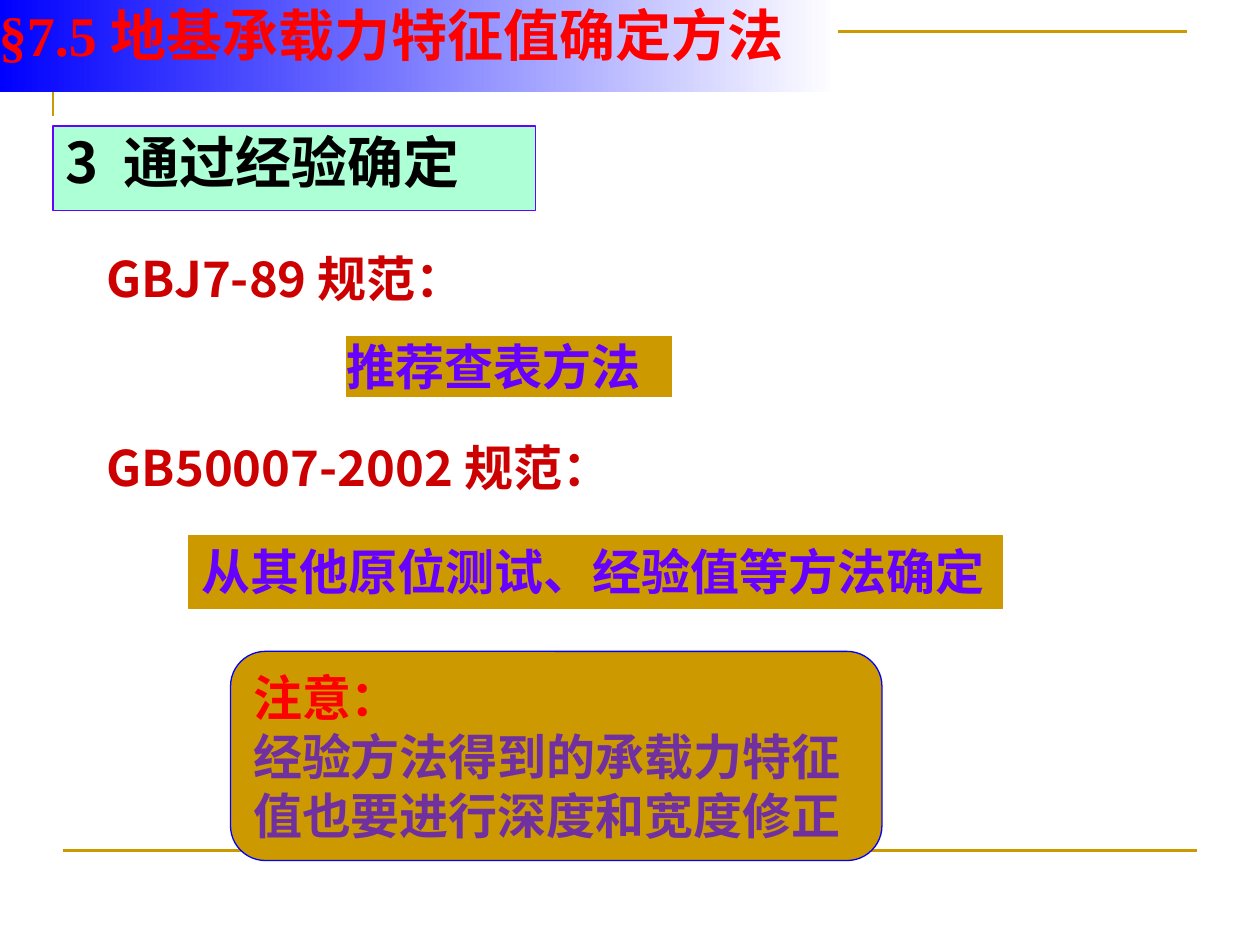
from dataclasses import dataclass

import pptx
import pptx.dml.color
import pptx.enum.shapes
import pptx.enum.text
import pptx.oxml.ns
import pptx.util
from lxml import etree

Inches = pptx.util.Inches
SHAPES = pptx.enum.shapes.MSO_SHAPE


@dataclass(frozen=True)
class Theme:
    gold: str = "CC9900"
    mint: str = "ADFFD6"
    violet: str = "6600FF"
    blue: str = "0000FF"
    white: str = "FFFFFF"
    black: str = "000000"
    crimson: str = "CC0000"
    red: str = "FF0000"
    purple: str = "7030A0"
    sans: str = "Noto Sans CJK SC"
    heading_font: str = "Noto Sans CJK JP"
    serif: str = "Times New Roman"
    plain: str = "Arial"
    large: int = 32
    normal: int = 28
    thin: float = 0.75
    rule: float = 1.5


THEME = Theme()


def rgb(value):
    return pptx.dml.color.RGBColor.from_string(value)


def apply(target, values):
    for name, value in values.items():
        setattr(target, name, value)


def set_line(shape, color, width):
    shape.line.color.rgb = rgb(color)
    shape.line.width = pptx.util.Pt(width)


def remove_shadow(shape):
    etree.SubElement(shape.element.spPr, pptx.oxml.ns.qn("a:effectLst"))


def write(shape, lines, font, size=THEME.normal, inset=(0.1, 0.05), grow=True):
    sizing = pptx.enum.text.MSO_AUTO_SIZE
    side, edge = map(Inches, inset)
    frame = shape.text_frame
    apply(frame, {
        "word_wrap": True,
        "auto_size": sizing.SHAPE_TO_FIT_TEXT if grow else sizing.NONE,
        "vertical_anchor": pptx.enum.text.MSO_ANCHOR.TOP,
        "margin_left": side, "margin_right": side,
        "margin_top": edge, "margin_bottom": edge,
    })
    for index, (text, color) in enumerate(lines):
        para = frame.paragraphs[0] if index == 0 else frame.add_paragraph()
        apply(para, {
            "alignment": pptx.enum.text.PP_ALIGN.LEFT,
            "space_before": pptx.util.Pt(0),
            "line_spacing": 1.0,
        })
        span = para.add_run()
        span.text = text
        apply(span.font, {"name": font, "size": pptx.util.Pt(size), "bold": True})
        span.font.color.rgb = rgb(color)
        east = etree.SubElement(span.font._element, pptx.oxml.ns.qn("a:ea"))
        east.set("typeface", THEME.sans)


def add_panel(page, box, fill, outline, kind=SHAPES.RECTANGLE):
    panel = page.shapes.add_shape(kind, *map(Inches, box))
    panel.shadow.inherit = False
    panel.fill.solid()
    panel.fill.fore_color.rgb = rgb(fill)
    set_line(panel, outline, THEME.thin)
    return panel


def add_frame_lines(page, box):
    left, top, width, height = box
    builder = page.shapes.build_freeform(Inches(left), Inches(top + height))
    builder.add_line_segments(
        [(Inches(left), Inches(top)), (Inches(left + width), Inches(top))], close=False)
    corner = builder.convert_to_shape()
    corner.fill.background()
    corner.shadow.inherit = False
    set_line(corner, THEME.gold, THEME.rule)


def add_footer_line(page, box):
    left, top, width, height = box
    rule = page.shapes.add_connector(
        pptx.enum.shapes.MSO_CONNECTOR.STRAIGHT,
        Inches(left), Inches(top), Inches(left + width), Inches(top + height))
    set_line(rule, THEME.gold, THEME.rule)
    remove_shadow(rule)


def add_heading(page, box):
    panel = add_panel(page, box, THEME.mint, THEME.violet)
    write(panel, [("3  通过经验确定", THEME.black)],
          THEME.heading_font, THEME.large, grow=False)
    para = panel.text_frame.paragraphs[0]
    para.line_spacing = 0.95
    hanging = Inches(0.38)
    settings = para._p.get_or_add_pPr()
    settings.set("marL", str(hanging))
    settings.set("indent", str(-hanging))


def add_code_name(page, box, text):
    label = page.shapes.add_textbox(*map(Inches, box))
    write(label, [(text, THEME.crimson)], THEME.sans)


def add_method(page, box, text, font, inset):
    panel = add_panel(page, box, THEME.gold, THEME.gold)
    write(panel, [(text, THEME.violet)], font, inset=inset)


def add_note(page, box):
    panel = add_panel(page, box, THEME.gold, THEME.blue, SHAPES.ROUNDED_RECTANGLE)
    write(panel, [
        ("注意：", THEME.red),
        ("经验方法得到的承载力特征值也要进行深度和宽度修正", THEME.purple),
    ], THEME.sans)


def add_title(page, box):
    title = page.shapes.title
    apply(title, dict(zip(("left", "top", "width", "height"), map(Inches, box))))
    title.fill.gradient()
    title.fill.gradient_angle = 0
    for stop, color in zip(title.fill.gradient_stops, (THEME.blue, THEME.white)):
        stop.color.rgb = rgb(color)
    write(title, [("§7.5 地基承载力特征值确定方法", THEME.red)],
          THEME.serif, THEME.large, inset=(0, 0))
    title.element.getparent().append(title.element)


def main():
    deck = pptx.Presentation()
    apply(deck, {"slide_width": Inches(10), "slide_height": Inches(7.5)})
    page = deck.slides.add_slide(deck.slide_layouts[5])
    add_frame_lines(page, (0.42, 0.25, 9, 0.67))
    add_footer_line(page, (0.5, 6.75, 9, 0))
    add_heading(page, (0.42, 1, 3.83, 0.67))
    add_code_name(page, (0.75, 1.92, 3.17, 0.57), "GBJ7-89 规范：")
    add_method(page, (2.75, 2.67, 2.58, 0.48), "推荐查表方法", THEME.plain, (0, 0))
    add_code_name(page, (0.75, 3.42, 4.1, 0.57), "GB50007-2002 规范：")
    add_method(page, (1.5, 4.25, 6.46, 0.58), "从其他原位测试、经验值等方法确定",
               THEME.serif, (0.1, 0.05))
    add_note(page, (1.83, 5.17, 5.17, 1.66))
    add_title(page, (-0.01, 0, 6.66, 0.54))
    deck.save("out.pptx")


if __name__ == "__main__":
    main()
